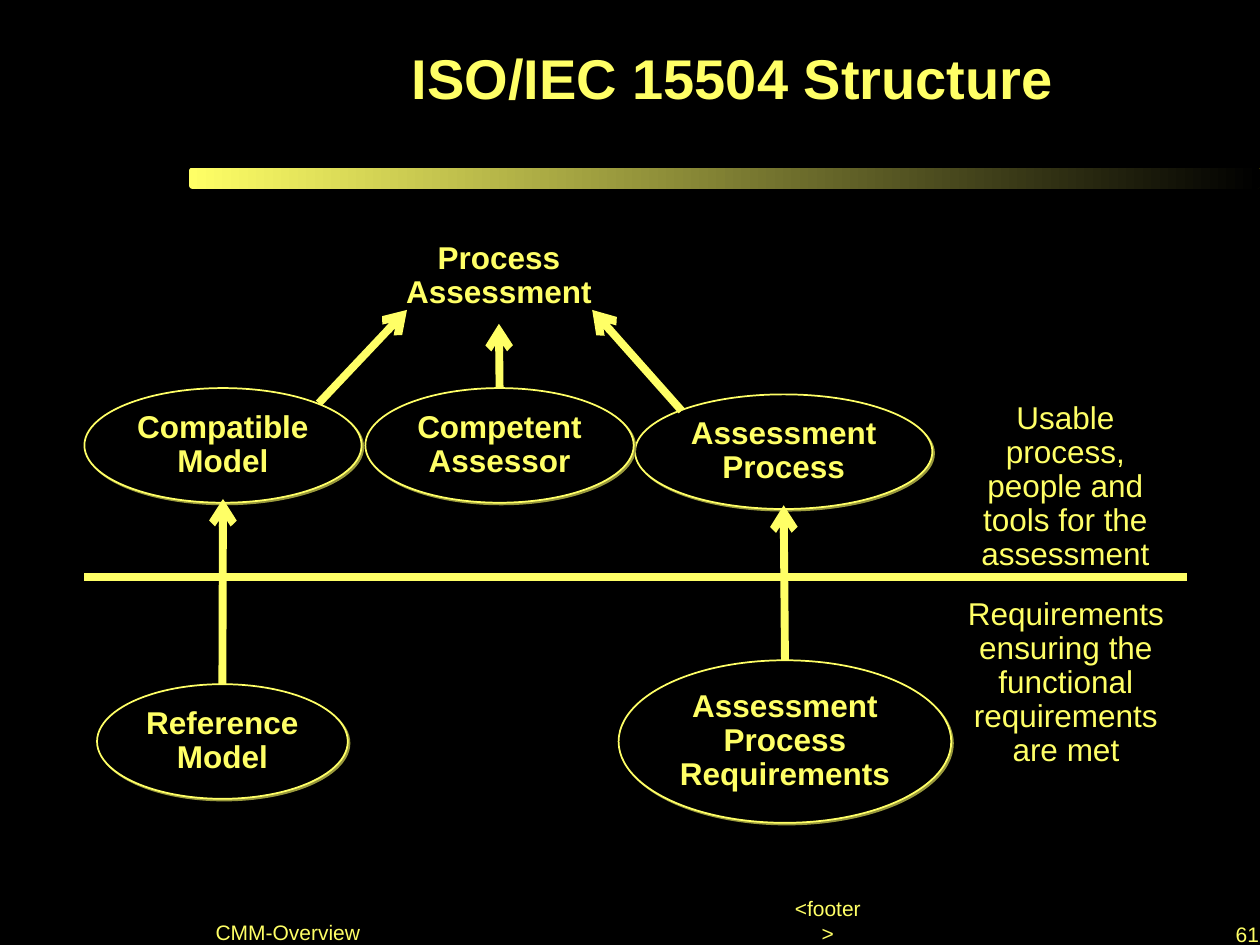
import dataclasses
from typing import Any, Optional

import pptx
import pptx.dml.color
import pptx.enum.dml
import pptx.enum.shapes
import pptx.enum.text
import pptx.oxml.ns
import pptx.util
from lxml import etree

SHAPES = pptx.enum.shapes.MSO_SHAPE
ANCHOR = pptx.enum.text.MSO_ANCHOR
ALIGN = pptx.enum.text.PP_ALIGN
TOP_SITE = 0


@dataclasses.dataclass(frozen=True)
class Theme:
    ink: str = "FFFF66"
    paper: str = "000000"
    shadow: str = "98983C"
    font: str = "Arial"
    title: int = 32
    body: int = 18
    footer: int = 12
    outline: float = 1
    stroke: float = 4.5


@dataclasses.dataclass(frozen=True)
class Area:
    """A box on a grid of 100 columns by 75 rows."""
    col: float
    row: float
    cols: float
    rows: float

    def box(self) -> tuple:
        return tuple(cell(n) for n in (self.col, self.row, self.cols, self.rows))


@dataclasses.dataclass(frozen=True)
class Node:
    text: str
    area: Area


@dataclasses.dataclass(frozen=True)
class Label:
    text: str
    area: Area
    size: int
    spacing: float = 0.9
    anchor: Any = ANCHOR.MIDDLE
    wrap: bool = False


@dataclasses.dataclass(frozen=True)
class Arrow:
    """An arrow that leaves the top of `source` when one is named."""
    start: tuple
    end: tuple
    source: Optional[str] = None


THEME = Theme()

NODES = {
    "process": Node("Assessment\nProcess", Area(50.4, 31.3, 23.6, 9.1)),
    "assessor": Node("Competent\nAssessor", Area(29, 30.8, 21.3, 9.1)),
    "model": Node("Compatible\nModel", Area(6.7, 30.8, 22, 9.1)),
    "reference": Node("Reference\nModel", Area(7.7, 54.3, 19.9, 9.1)),
    "requirements": Node("Assessment\nProcess\nRequirements", Area(49.1, 52.4, 26.4, 12.9)),
}

GOAL = Node("Process\nAssessment", Area(29.2, 18.1, 20.8, 7.6))

ARROWS = [
    Arrow((54.1, 32.6), (47, 24.6)),
    Arrow((25.3, 32), (32.3, 24.6)),
    Arrow((39.6, 30.8), (39.6, 25.7), "assessor"),
    Arrow((17.7, 54.3), (17.7, 39.6), "reference"),
    Arrow((62.2, 52.4), (62.2, 40.1), "requirements"),
]

LABELS = [
    Label("Usable process,\npeople and\ntools for the\nassessment",
          Area(75.6, 33.3, 17.9, 10.8), THEME.body),
    Label("Requirements\nensuring the\nfunctional\nrequirements\nare met",
          Area(76.8, 47.5, 15.6, 13.5), THEME.body),
    Label("CMM-Overview", Area(12.4, 71.8, 20.9, 3.2), THEME.footer, 0.8, ANCHOR.BOTTOM, True),
    Label("<footer>", Area(62.6, 73.1, 6.2, 2), THEME.footer, 1, ANCHOR.BOTTOM),
    Label("61", Area(98, 73.5, 2, 1.6), THEME.footer, 0.8, ANCHOR.BOTTOM),
]


def cell(count: float) -> int:
    return pptx.util.Inches(count / 10)


def color(value: str) -> pptx.dml.color.RGBColor:
    return pptx.dml.color.RGBColor.from_string(value)


def add_xml(parent: Any, tag: str, **attributes: str) -> Any:
    return etree.SubElement(parent, pptx.oxml.ns.qn(tag), attributes)


def write(frame: Any, text: str, size: int, bold: bool = False, spacing: float = 0.9,
          anchor: Any = ANCHOR.MIDDLE, wrap: bool = False) -> None:
    """Fill a frame with centred paragraphs, one for each line of text."""
    frame.word_wrap = wrap
    frame.vertical_anchor = anchor
    frame.margin_left = frame.margin_right = frame.margin_top = frame.margin_bottom = 0
    for index, line in enumerate(text.split("\n")):
        paragraph = frame.add_paragraph() if index else frame.paragraphs[0]
        paragraph.alignment = ALIGN.CENTER
        paragraph.line_spacing = spacing
        run = paragraph.add_run()
        run.text = line
        run.font.name = THEME.font
        run.font.size = pptx.util.Pt(size)
        run.font.bold = bold
        run.font.color.rgb = color(THEME.ink)


def add_ellipse(slide: Any, node: Node) -> Any:
    ellipse = slide.shapes.add_shape(SHAPES.OVAL, *node.area.box())
    ellipse.shadow.inherit = False
    ellipse.fill.background()
    ellipse.line.fill.background()
    write(ellipse.text_frame, node.text, THEME.body, bold=True)
    return ellipse


def add_node(slide: Any, node: Node) -> Any:
    """Draw an outlined ellipse with a hard shadow."""
    ellipse = add_ellipse(slide, node)
    ellipse.fill.solid()
    ellipse.fill.fore_color.rgb = color(THEME.paper)
    ellipse.line.color.rgb = color(THEME.ink)
    ellipse.line.width = pptx.util.Pt(THEME.outline)
    effects = ellipse.element.spPr.find(pptx.oxml.ns.qn("a:effectLst"))
    shadow = add_xml(effects, "a:outerShdw", blurRad="0", dist=str(pptx.util.Pt(1.4)),
                     dir=str(45 * 60000), algn="ctr", rotWithShape="0")
    add_xml(shadow, "a:srgbClr", val=THEME.shadow)
    return ellipse


def add_line(slide: Any, start: tuple, end: tuple) -> Any:
    line = slide.shapes.add_connector(
        pptx.enum.shapes.MSO_CONNECTOR.STRAIGHT, *(cell(n) for n in start + end))
    line.line.color.rgb = color(THEME.ink)
    line.line.width = pptx.util.Pt(THEME.stroke)
    add_xml(line.element.spPr, "a:effectLst")
    return line


def add_arrow(slide: Any, arrow: Arrow, ellipses: dict) -> None:
    line = add_line(slide, arrow.start, arrow.end)
    add_xml(line.element.spPr.find(pptx.oxml.ns.qn("a:ln")), "a:tailEnd", type="arrow")
    if arrow.source:
        line.begin_connect(ellipses[arrow.source], TOP_SITE)


def add_label(slide: Any, label: Label) -> None:
    box = slide.shapes.add_textbox(*label.area.box())
    write(box.text_frame, label.text, label.size, spacing=label.spacing,
          anchor=label.anchor, wrap=label.wrap)


def add_title(slide: Any, text: str, area: Area) -> None:
    title = slide.shapes.title
    title.left, title.top, title.width, title.height = area.box()
    write(title.text_frame, text, THEME.title, bold=True, spacing=0.8, wrap=True)


def add_fading_bar(slide: Any, area: Area) -> None:
    bar = slide.shapes.add_shape(SHAPES.ROUNDED_RECTANGLE, *area.box())
    bar.shadow.inherit = False
    bar.line.fill.background()
    bar.fill.gradient()
    bar.fill.gradient_angle = 0
    for stop, value in zip(bar.fill.gradient_stops, (THEME.ink, THEME.paper)):
        stop.color.rgb = color(value)


def main() -> None:
    deck = pptx.Presentation()
    deck.slide_width, deck.slide_height = cell(100), cell(75)
    slide = deck.slides.add_slide(deck.slide_layouts.get_by_name("Title Only"))
    slide.background.fill.solid()
    slide.background.fill.fore_color.rgb = color(THEME.paper)

    add_fading_bar(slide, Area(15, 13.3, 85, 1.7))
    add_title(slide, "ISO/IEC 15504 Structure", Area(16.9, 0.6, 82.5, 12))
    add_line(slide, (6.7, 45.8), (94.2, 45.8))
    add_ellipse(slide, GOAL)
    ellipses = {name: add_node(slide, node) for name, node in NODES.items()}
    for arrow in ARROWS:
        add_arrow(slide, arrow, ellipses)
    for label in LABELS:
        add_label(slide, label)
    deck.save("out.pptx")


if __name__ == "__main__":
    main()
